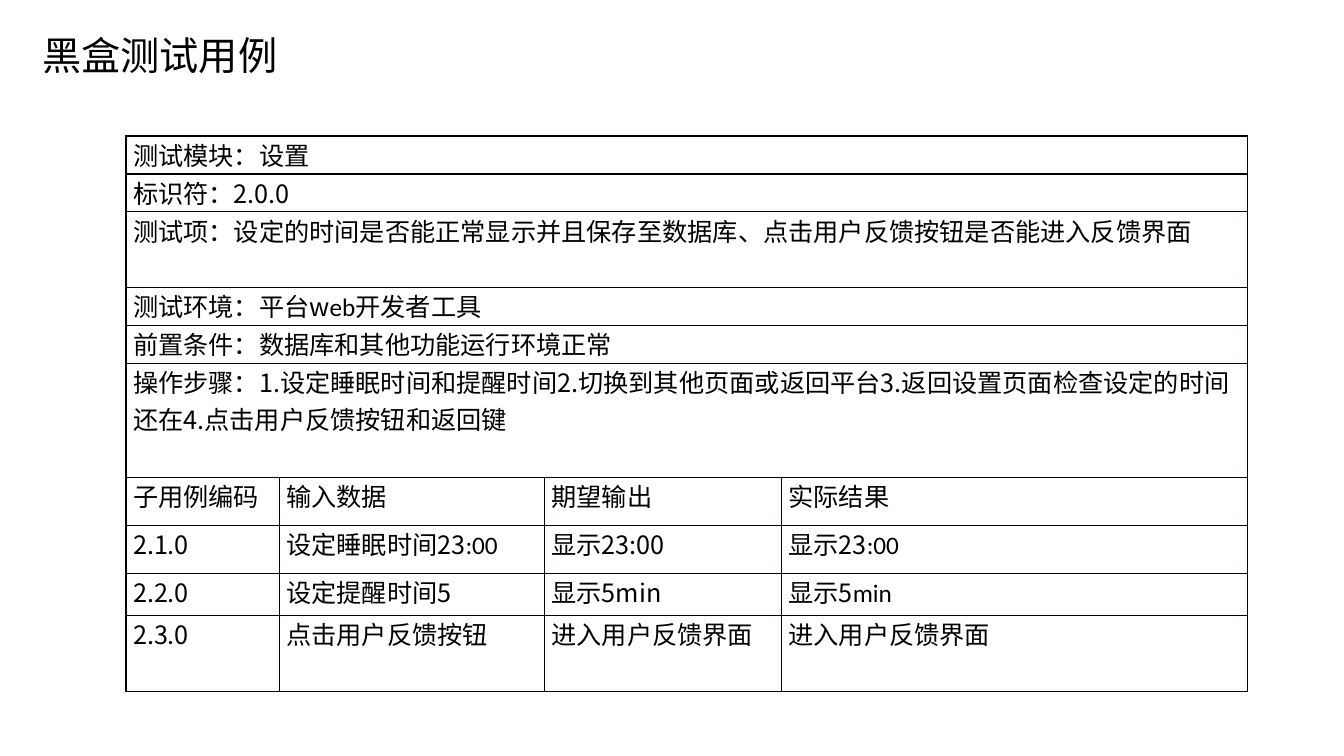
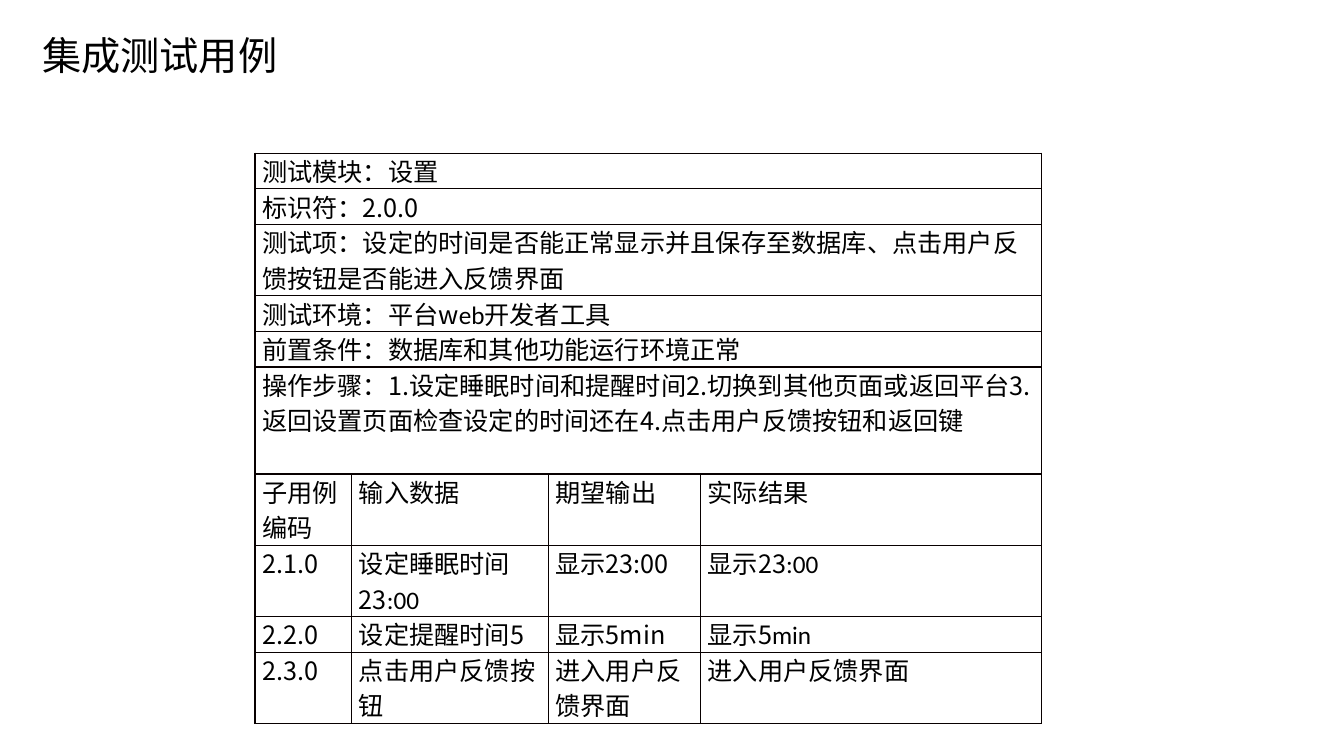
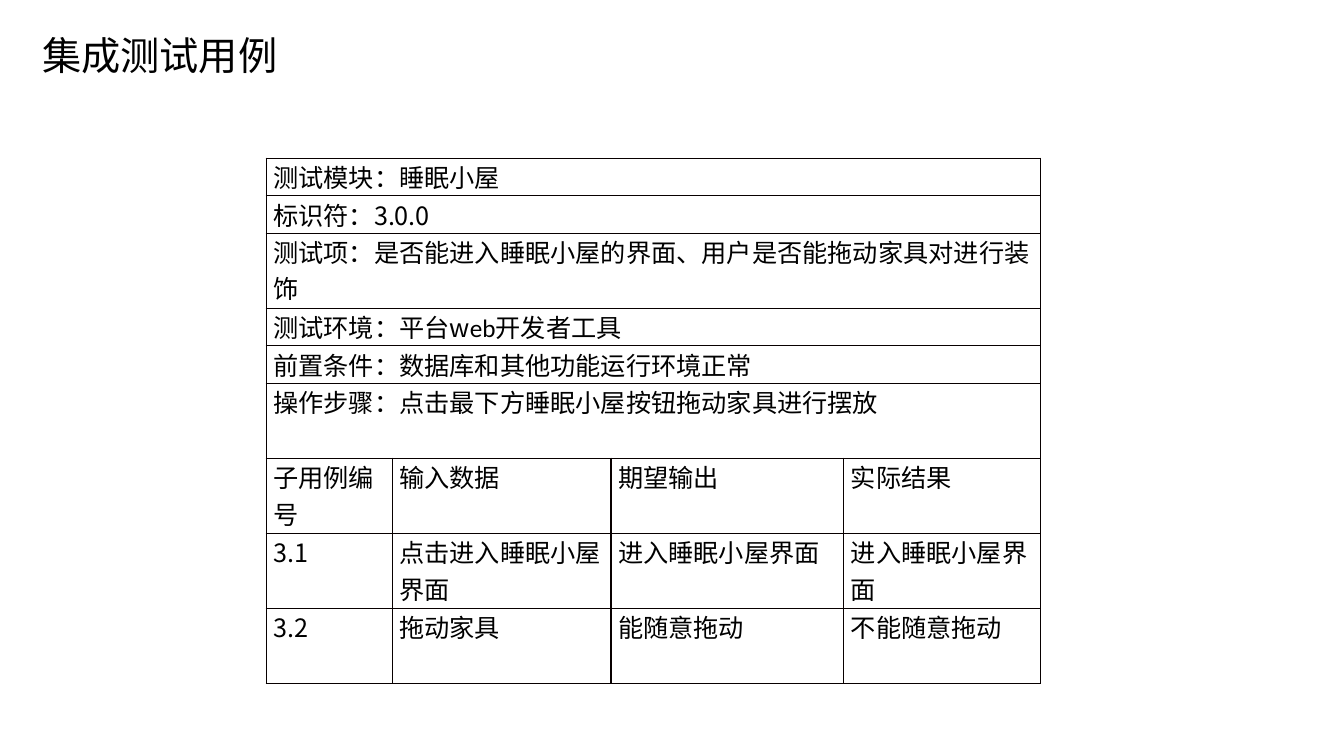
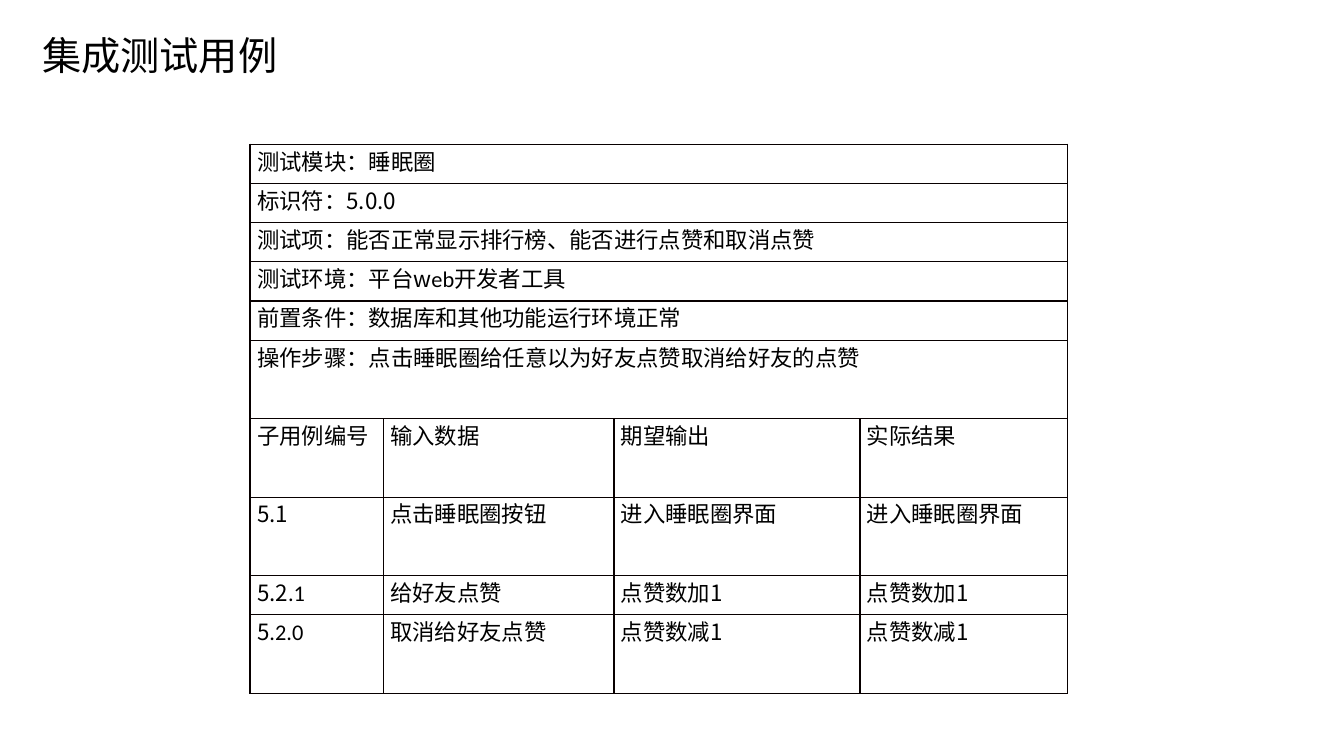
import pptx
import pptx.dml.color
import pptx.enum.text
import pptx.oxml
import pptx.oxml.ns
import pptx.util
from lxml import etree

Inches, Pt = pptx.util.Inches, pptx.util.Pt
RGBColor = pptx.dml.color.RGBColor
qn = pptx.oxml.ns.qn

# Shared style
BLACK = RGBColor(0x00, 0x00, 0x00)
RULE = RGBColor(0x08, 0x00, 0x00)
HAN, LATIN = "Noto Sans CJK SC", "Calibri"
TITLE_BOX = (0.32, 0.26, 2.58, 0.57)
TITLE_SIZE = 28
SIDE_MARGIN = 0.07

# Content: text between bars is set in LATIN, the rest in HAN
ENVIRONMENT = "|测试环境|：平台w|eb|开发者工具"
PRECONDITION = "前置条件：数据库和其他功能运行环境正常"
HEADINGS = ["|输入数据|", "|期望输出|", "|实际结果|"]

SETTINGS = dict(
    module="设置", code="2.0.0",
    item="设定的时间是否能正常显示并且保存至数据库、点击用户反馈按钮是否能进入反馈界面",
    steps="1.设定睡眠时间和提醒时间2.切换到其他页面或返回平台"
          "3.返回设置页面检查设定的时间还在4.点击用户反馈按钮和返回键",
    key="子用例编码",
    results=[
        ["2.1.0", "设定睡眠时间23|:00|", "显示23:00", "显示23|:00|"],
        ["2.2.0", "设定提醒时间5", "显示5min", "显示5|min|"],
        ["2.3.0", "点击用户反馈按钮", "进入用户反馈界面", "进入用户反馈界面"],
    ])
COTTAGE = dict(
    module="睡眠小屋", code="3.0.0",
    item="是否能进入睡眠小屋的界面、用户是否能拖动家具对进行装饰",
    steps="点击最下方睡眠小屋按钮拖动家具进行摆放",
    key="子用例编号",
    results=[
        ["3.1", "点击进入睡眠小屋界面", "进入睡眠小屋界面", "进入睡眠小屋界面"],
        ["3.2", "拖动家具", "能随意拖动", "不能随意拖动"],
    ])
CIRCLE = dict(
    module="睡眠圈", code="5.0.0",
    item="能否正常显示排行榜、能否进行点赞和取消点赞",
    steps="点击睡眠圈给任意以为好友点赞取消给好友的点赞",
    key="子用例编号",
    results=[
        ["5.1", "点击睡眠圈按钮", "进入睡眠圈界面", "进入睡眠圈界面"],
        ["5.2|.1|", "给好友点赞", "点赞数加1", "点赞数加1"],
        ["5|.2.0|", "取消给好友点赞", "点赞数减1", "点赞数减1"],
    ])

# Each table: left, top and height, column widths, and row heights in lines
SLIDES = [
    dict(title="黑盒测试用例", case=SETTINGS, size=18, spacing=1.0,
         left=1.25, top=1.35, height=5.51, columns=[1.52, 2.63, 2.35, 4.62],
         lines=[1, 1, 2, 1, 1, 3, 1.27, 1.27, 1.11, 2]),
    dict(title="集成测试用例", case=SETTINGS, size=18, spacing=0.97,
         left=2.53, top=1.52, height=5.66, columns=[0.96, 1.95, 1.51, 3.38],
         lines=[1, 1, 2, 1, 1, 3, 2, 2, 1, 2]),
    dict(title="集成测试用例", case=COTTAGE, size=18, spacing=1.0,
         left=2.64, top=1.57, height=5.21, columns=[1.25, 2.17, 2.31, 1.95],
         lines=[1, 1, 2, 1, 1, 2, 2, 2, 2]),
    dict(title="集成测试用例", case=CIRCLE, size=16, spacing=1.0,
         left=2.48, top=1.43, height=5.45, columns=[1.32, 2.29, 2.44, 2.06],
         lines=[1, 1, 1, 1, 1, 2, 2, 2, 1, 2]),
]


def write(paragraph, marked, size):
    """Add the marked text as runs, switching font at each bar."""
    for i, part in enumerate(marked.split("|")):
        if not part:
            continue
        run = paragraph.add_run()
        run.text = part
        run.font.size = Pt(size)
        run.font.color.rgb = BLACK
        run.font.name = LATIN if i % 2 else HAN
        etree.SubElement(run.font._element, qn("a:ea"), typeface=HAN)


def rule_cell(cell):
    """Draw a one-point line on the four sides of an unfilled cell."""
    cell.fill.background()
    properties = cell._tc.get_or_add_tcPr()
    for i, side in enumerate(("lnL", "lnR", "lnT", "lnB")):
        line = etree.Element(qn("a:" + side), w=str(Pt(1)))
        fill = etree.SubElement(line, qn("a:solidFill"))
        etree.SubElement(fill, qn("a:srgbClr"), val=str(RULE))
        properties.insert(i, line)


def case_rows(case):
    """Full-width rows hold one text, the others one per column."""
    return [
        [f"|测试模块|：{case['module']}"],
        [f"|标识符|：{case['code']}"],
        [f"|测试项|：{case['item']}"],
        [ENVIRONMENT],
        [PRECONDITION],
        [f"|操作步骤|：{case['steps']}"],
        [case["key"]] + HEADINGS,
    ] + case["results"]


def add_case_table(slide, page):
    rows, columns, lines = case_rows(page["case"]), page["columns"], page["lines"]
    table = slide.shapes.add_table(
        len(rows), len(columns), Inches(page["left"]), Inches(page["top"]),
        Inches(sum(columns)), Inches(page["height"])).table
    table.first_row = table.horz_banding = False
    for column, width in zip(table.columns, columns):
        column.width = Inches(width)
    line_height = page["height"] / sum(lines)
    for r, texts in enumerate(rows):
        table.rows[r].height = Inches(line_height * lines[r])
        for c in range(len(columns)):
            cell = table.cell(r, c)
            cell.margin_left = cell.margin_right = Inches(SIDE_MARGIN)
            cell.margin_top = cell.margin_bottom = 0
            rule_cell(cell)
            paragraph = cell.text_frame.paragraphs[0]
            paragraph.line_spacing = page["spacing"]
            paragraph.font.size = Pt(page["size"])
            if c < len(texts):
                write(paragraph, texts[c], page["size"])
        if len(texts) == 1:
            table.cell(r, 0).merge(table.cell(r, len(columns) - 1))


def main():
    deck = pptx.Presentation()
    deck.slide_width, deck.slide_height = Inches(13.33), Inches(7.5)
    layout = deck.slide_layouts.get_by_name("Title Only")

    # Title position, shared through the layout
    heading = layout.placeholders[0]
    heading.left, heading.top, heading.width, heading.height = map(Inches, TITLE_BOX)

    for page in SLIDES:
        slide = deck.slides.add_slide(layout)
        frame = slide.shapes.title.text_frame
        frame.auto_size = pptx.enum.text.MSO_AUTO_SIZE.SHAPE_TO_FIT_TEXT
        frame.paragraphs[0].alignment = pptx.enum.text.PP_ALIGN.LEFT
        write(frame.paragraphs[0], page["title"], TITLE_SIZE)
        add_case_table(slide, page)

    deck.save("out.pptx")


if __name__ == "__main__":
    main()
